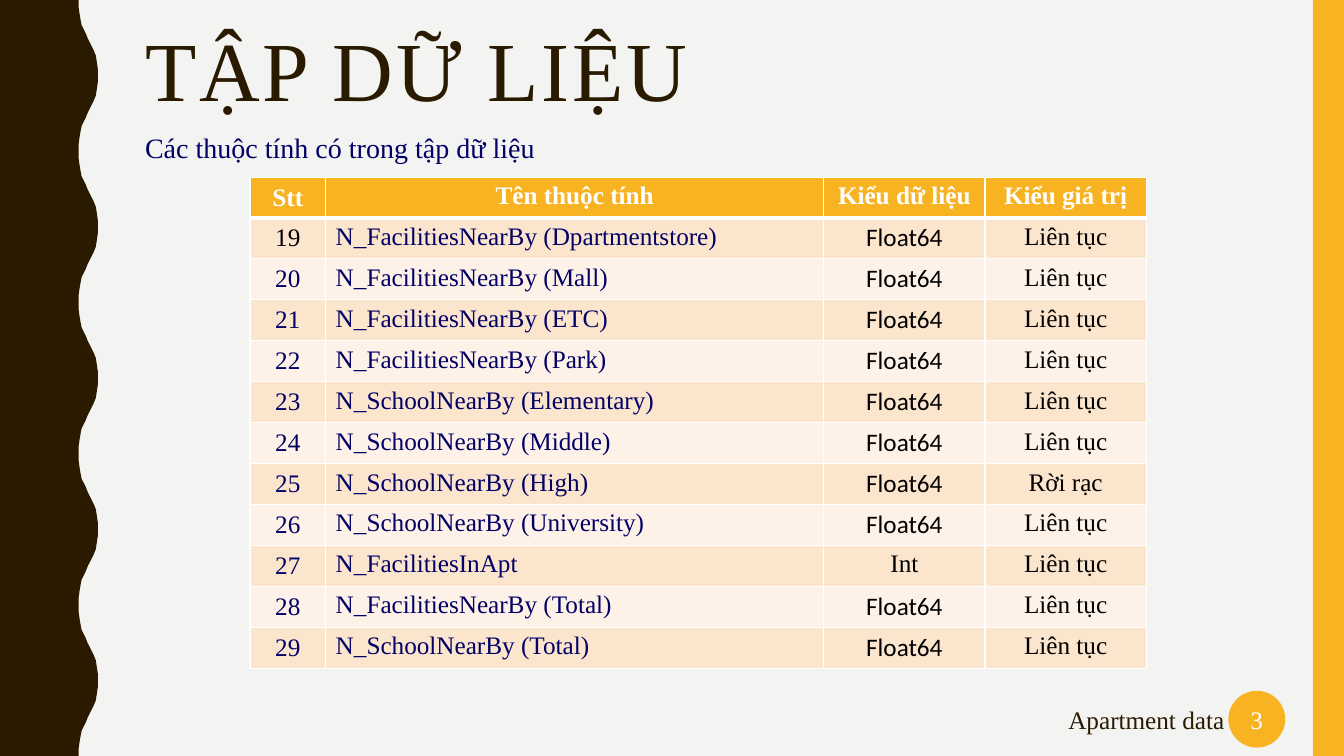
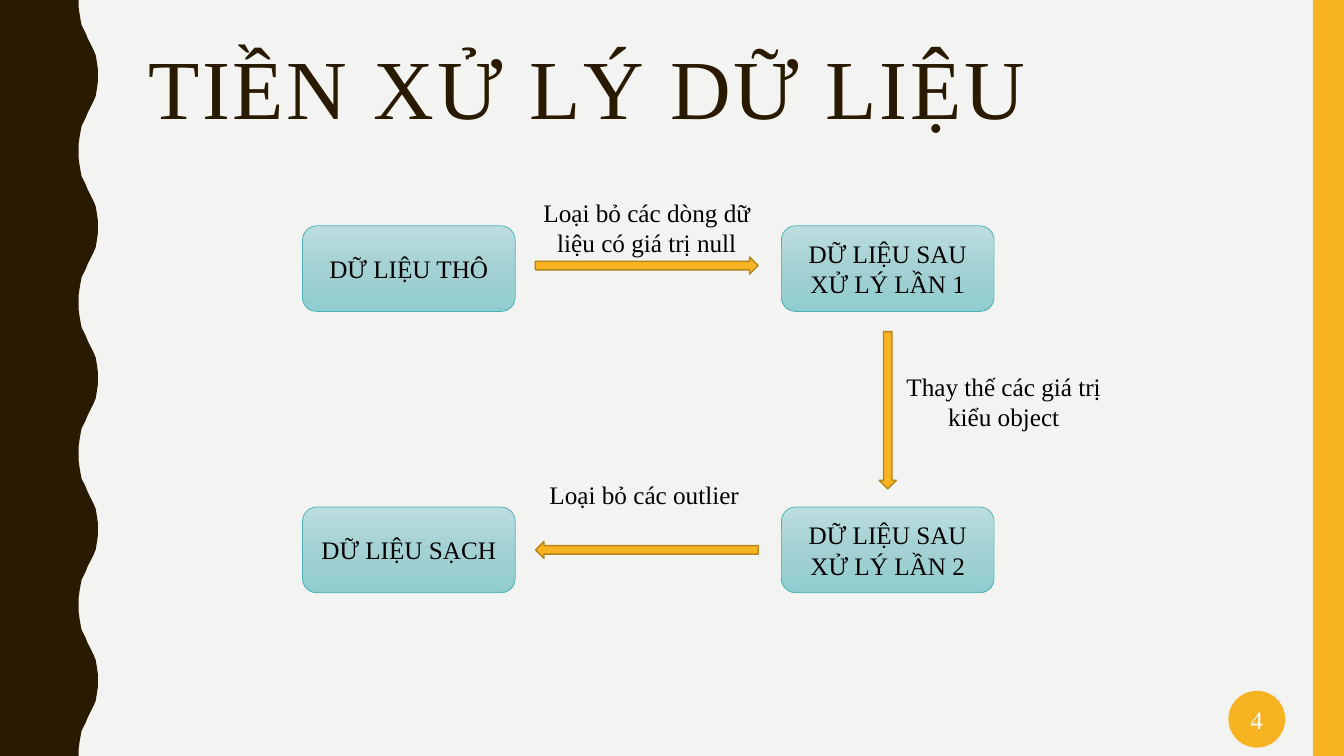
from copy import deepcopy

from pptx import Presentation
from pptx import util as u
from pptx.dml.color import RGBColor
from pptx.enum import shapes, text
from pptx.oxml.ns import qn
from pptx.oxml.xmlchemy import OxmlElement

# Shared look
PAPER, BROWN, YELLOW, OCHRE = "F3F3F2", "2A1A00", "F8B323", "B7841A"
NAVY, BLACK, WHITE, TEAL = "000066", "000000", "FFFFFF", "46B2B5"
ROW_FILLS = ("FCE5CD", "FEF2E8")
STEP_GRADIENT = ((0, "BCDDDF"), (0.5, "A4D1D3"), (1, "90CCCE"))
SERIF, SANS = "Times New Roman", "Calibri"
WIDTH, HEIGHT = 13.33, 7.5
CENTER, LEFT = text.PP_ALIGN.CENTER, text.PP_ALIGN.LEFT
MIDDLE, TOP = text.MSO_ANCHOR.MIDDLE, text.MSO_ANCHOR.TOP
SHAPE = shapes.MSO_SHAPE

# Left band: rising half of one wave, mirrored for the falling half
WAVE_PERIOD = 1.5
RISING = [(0.78, 0), (0.78, 0.07), (0.79, 0.14), (0.8, 0.2), (0.81, 0.25),
          (0.83, 0.29), (0.85, 0.33), (0.87, 0.38), (0.89, 0.42), (0.91, 0.46),
          (0.93, 0.5), (0.95, 0.55), (0.96, 0.61), (0.97, 0.68), (0.97, 0.75)]

# Slide 1: attributes
HEADINGS = ("Stt", "Tên thuộc tính", "Kiểu dữ liệu", "Kiểu giá trị")
COLUMN_WIDTHS = (0.75, 4.94, 1.6, 1.6)
TABLE_HEIGHT, HEADING_HEIGHT = 4.86, 0.39
FIRST_NUMBER = 19
ATTRIBUTES = [
    ("N_FacilitiesNearBy (Dpartmentstore)", "Float64", "Liên tục"),
    ("N_FacilitiesNearBy (Mall)", "Float64", "Liên tục"),
    ("N_FacilitiesNearBy (ETC)", "Float64", "Liên tục"),
    ("N_FacilitiesNearBy (Park)", "Float64", "Liên tục"),
    ("N_SchoolNearBy (Elementary)", "Float64", "Liên tục"),
    ("N_SchoolNearBy (Middle)", "Float64", "Liên tục"),
    ("N_SchoolNearBy (High)", "Float64", "Rời rạc"),
    ("N_SchoolNearBy (University)", "Float64", "Liên tục"),
    ("N_FacilitiesInApt", "Int", "Liên tục"),
    ("N_FacilitiesNearBy (Total)", "Float64", "Liên tục"),
    ("N_SchoolNearBy (Total)", "Float64", "Liên tục"),
]

# Slide 2: processing steps as (text, column, row), arrows and their labels
STEP_LEFTS, STEP_TOPS, STEP_SIZE = (3, 7.75), (2.24, 5.03), (2.11, 0.85)
STEPS = [
    ("DỮ LIỆU THÔ", 0, 0),
    ("DỮ LIỆU SAU XỬ LÝ LẦN 1", 1, 0),
    ("DỮ LIỆU SAU XỬ LÝ LẦN 2", 1, 1),
    ("DỮ LIỆU SẠCH", 0, 1),
]
ARROWS = [
    (SHAPE.RIGHT_ARROW, (5.31, 2.55, 2.21, 0.17), 0),
    (SHAPE.DOWN_ARROW, (8.72, 3.29, 0.17, 1.56), 0),
    (SHAPE.RIGHT_ARROW, (5.31, 5.37, 2.21, 0.17), 180),
]
ARROW_LABELS = [
    ("Loại bỏ các dòng dữ liệu có giá trị null", (5.27, 1.91, 2.29, 0.71)),
    ("Thay thế các giá trị kiểu object", (8.81, 3.63, 2.29, 0.71)),
    ("Loại bỏ các outlier", (5.35, 4.71, 2.08, 0.71)),
]


def rgb(color):
    return RGBColor.from_string(color)


def inches(box):
    return [u.Inches(value) for value in box]


def write(frame, words, size=18, color=BLACK, font=SERIF, bold=False,
          align=CENTER, spacing=None, tracking=0):
    paragraph = frame.paragraphs[0]
    paragraph.alignment = align
    if spacing:
        paragraph.line_spacing = spacing
    run = paragraph.add_run()
    run.text = words
    run.font.size = u.Pt(size)
    run.font.name = font
    run.font.bold = bold
    run.font.color.rgb = rgb(color)
    if tracking:
        run.font._element.set("spc", str(tracking * 100))


def add_label(slide, words, box, **style):
    frame = slide.shapes.add_textbox(*inches(box)).text_frame
    frame.word_wrap = True
    frame.vertical_anchor = TOP
    write(frame, words, **style)


def paint(shape, fill=None, line=None, line_width=1):
    shape.shadow.inherit = False
    if fill:
        shape.fill.solid()
        shape.fill.fore_color.rgb = rgb(fill)
    if line:
        shape.line.color.rgb = rgb(line)
        shape.line.width = u.Pt(line_width)
    else:
        shape.line.fill.background()


def add_wave(slide):
    falling = [(x, WAVE_PERIOD - y) for x, y in reversed(RISING[1:-1])]
    edge = [(x, y + wave * WAVE_PERIOD)
            for wave in range(round(HEIGHT / WAVE_PERIOD))
            for x, y in RISING + falling]
    outline = edge + [(RISING[0][0], HEIGHT), (0, HEIGHT)]
    builder = slide.shapes.build_freeform(0, 0)
    builder.add_line_segments([inches(point) for point in outline], close=True)
    paint(builder.convert_to_shape(), BROWN)


def add_slide(prs, title, title_box, number):
    slide = prs.slides.add_slide(prs.slide_layouts[6])
    add_wave(slide)
    side_bar = slide.shapes.add_shape(SHAPE.RECTANGLE, *inches((13.02, 0, 0.31, HEIGHT)))
    paint(side_bar, YELLOW)
    add_label(slide, title, title_box, size=60, color=BROWN, align=LEFT,
              spacing=0.9, tracking=2)
    badge = slide.shapes.add_shape(SHAPE.OVAL, *inches((12.19, 6.86, 0.55, 0.55)))
    paint(badge, YELLOW, YELLOW)
    frame = badge.text_frame
    frame.margin_left = frame.margin_right = 0
    frame.vertical_anchor = MIDDLE
    write(frame, str(number), color=WHITE)
    return slide


def set_borders(cell, **widths):
    properties = cell._tc.get_or_add_tcPr()
    for side in "LRTB":
        border = OxmlElement(f"a:ln{side}")
        border.set("w", str(u.Pt(widths.get(side, 1))))
        fill = OxmlElement("a:solidFill")
        color = OxmlElement("a:srgbClr")
        color.set("val", WHITE)
        fill.append(color)
        border.append(fill)
        properties.append(border)


def fill_cell(cell, words, fill, anchor, borders, **style):
    set_borders(cell, **borders)
    cell.fill.solid()
    cell.fill.fore_color.rgb = rgb(fill)
    cell.vertical_anchor = anchor
    write(cell.text_frame, words, **style)


def add_attribute_table(slide):
    box = (2.48, 1.76, sum(COLUMN_WIDTHS), TABLE_HEIGHT)
    table = slide.shapes.add_table(len(ATTRIBUTES) + 1, len(HEADINGS), *inches(box)).table
    table.horz_banding = False
    for column, width in zip(table.columns, COLUMN_WIDTHS):
        column.width = u.Inches(width)
    for row in table.rows:
        row.height = u.Inches((TABLE_HEIGHT - HEADING_HEIGHT) / len(ATTRIBUTES))
    table.rows[0].height = u.Inches(HEADING_HEIGHT)

    anchors = (MIDDLE, TOP, TOP, TOP)
    for col, heading in enumerate(HEADINGS):
        fill_cell(table.cell(0, col), heading, YELLOW, anchors[col], {"B": 3},
                  color=WHITE, bold=True)
    for index, (name, data_type, value_type) in enumerate(ATTRIBUTES):
        cells = [
            (str(FIRST_NUMBER + index), {"color": NAVY if index else BLACK}),
            (name, {"color": NAVY, "align": LEFT}),
            (data_type, {"font": SANS if data_type == "Float64" else SERIF}),
            (value_type, {}),
        ]
        borders = {} if index else {"T": 3}
        for col, (words, style) in enumerate(cells):
            fill_cell(table.cell(index + 1, col), words, ROW_FILLS[index % 2],
                      anchors[col], borders, **style)


def add_step(slide, words, column, row):
    box = (STEP_LEFTS[column], STEP_TOPS[row], *STEP_SIZE)
    step = slide.shapes.add_shape(SHAPE.ROUNDED_RECTANGLE, *inches(box))
    step.fill.gradient()
    step.fill.gradient_angle = 270
    stop_list = step._element.spPr.find(".//" + qn("a:gsLst"))
    stop_list.insert(1, deepcopy(stop_list[0]))
    for stop, (position, color) in zip(step.fill.gradient_stops, STEP_GRADIENT):
        stop.position = position
        stop.color.rgb = rgb(color)
    paint(step, line=TEAL, line_width=0.5)
    step.text_frame.vertical_anchor = MIDDLE
    write(step.text_frame, words)


def main():
    prs = Presentation()
    prs.slide_width, prs.slide_height = inches((WIDTH, HEIGHT))
    background = prs.slide_master.background.fill
    background.solid()
    background.fore_color.rgb = rgb(PAPER)

    # Data set
    data_slide = add_slide(prs, "TẬP DỮ LIỆU", (1.34, 0.24, 11.13, 0.99), 3)
    add_label(data_slide, "Apartment data", (10, 6.94, 2.74, 0.4), color=BROWN)
    add_attribute_table(data_slide)
    add_label(data_slide, "Các thuộc tính có trong tập dữ liệu",
              (1.34, 1.25, 4.67, 0.44), size=20, color=NAVY, align=LEFT)

    # Preprocessing
    flow_slide = add_slide(prs, "TIỀN XỬ LÝ DỮ LIỆU", (1.37, 0.42, 11.13, 1.63), 4)
    for step in STEPS:
        add_step(flow_slide, *step)
    for kind, box, turn in ARROWS:
        arrow = flow_slide.shapes.add_shape(kind, *inches(box))
        arrow.rotation = turn
        paint(arrow, YELLOW, OCHRE)
    for words, box in ARROW_LABELS:
        add_label(flow_slide, words, box)

    prs.save("out.pptx")


if __name__ == "__main__":
    main()
